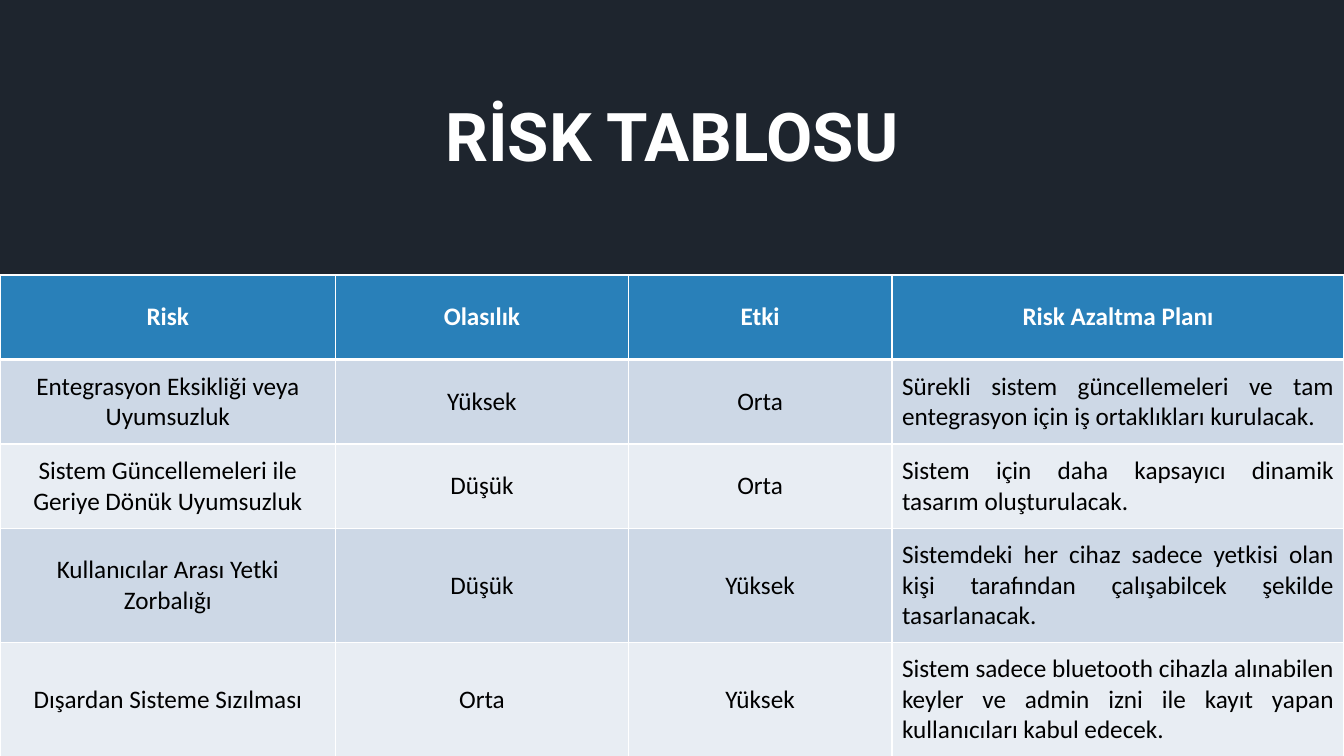
from dataclasses import dataclass

from lxml.etree import SubElement
from pptx import Presentation
from pptx.dml.color import RGBColor
from pptx.enum.text import MSO_ANCHOR, MSO_AUTO_SIZE, PP_ALIGN
from pptx.oxml.ns import qn
from pptx.util import Cm, Pt

NAVY = RGBColor(0x1E, 0x25, 0x2E)
BLUE = RGBColor(0x29, 0x80, 0xB9)
BAND_DARK = RGBColor(0xCD, 0xD8, 0xE6)
BAND_LIGHT = RGBColor(0xE8, 0xED, 0xF3)
WHITE = RGBColor(0xFF, 0xFF, 0xFF)
BLACK = RGBColor(0x00, 0x00, 0x00)

COLUMN_WIDTHS = (8.46, 7.37, 6.65, 11.39)
HEADERS = ("Risk", "Olasılık", "Etki", "Risk Azaltma Planı")


@dataclass(frozen=True)
class Risk:
    name: str
    likelihood: str
    impact: str
    plan: str
    height: float = 2.13


RISKS = (
    Risk("Entegrasyon Eksikliği veya Uyumsuzluk", "Yüksek", "Orta",
         "Sürekli sistem güncellemeleri ve tam entegrasyon için iş ortaklıkları kurulacak."),
    Risk("Sistem Güncellemeleri ile Geriye Dönük Uyumsuzluk", "Düşük", "Orta",
         "Sistem için daha kapsayıcı dinamik tasarım oluşturulacak."),
    Risk("Kullanıcılar Arası Yetki Zorbalığı", "Düşük", "Yüksek",
         "Sistemdeki her cihaz sadece yetkisi olan kişi tarafından çalışabilcek "
         "şekilde tasarlanacak.", 2.87),
    Risk("Dışardan Sisteme Sızılması", "Orta", "Yüksek",
         "Sistem sadece bluetooth cihazla alınabilen keyler ve admin izni ile kayıt "
         "yapan kullanıcıları kabul edecek.", 2.87),
)


def style_paragraph(p, font: str, size: int, color: RGBColor, bold: bool, align) -> None:
    p.alignment = align
    p.font.name = font
    p.font.size = Pt(size)
    p.font.bold = bold
    p.font.color.rgb = color


def add_borders(cell, top: int, bottom: int) -> None:
    tc_pr = cell._tc.get_or_add_tcPr()
    for side, width in (("lnL", 1), ("lnR", 1), ("lnT", top), ("lnB", bottom)):
        ln = SubElement(tc_pr, qn(f"a:{side}"), w=str(Pt(width)))
        fill = SubElement(ln, qn("a:solidFill"))
        SubElement(fill, qn("a:srgbClr"), val=str(WHITE))


def fill_cell(cell, text: str, row: int, align) -> None:
    header = row == 0
    add_borders(cell, top=3 if row == 1 else 1, bottom=3 if header else 1)
    cell.fill.solid()
    cell.fill.fore_color.rgb = BLUE if header else BAND_DARK if row % 2 else BAND_LIGHT
    cell.vertical_anchor = MSO_ANCHOR.MIDDLE
    cell.text = text
    p = cell.text_frame.paragraphs[0]
    style_paragraph(p, "Calibri", 18, WHITE if header else BLACK, header, align)


def add_risk_table(s) -> None:
    rows = [HEADERS] + [(r.name, r.likelihood, r.impact, r.plan) for r in RISKS]
    heights = [2.13] + [r.height for r in RISKS]
    frame = s.shapes.add_table(len(rows), len(HEADERS), Cm(0), Cm(6.93),
                               Cm(sum(COLUMN_WIDTHS)), Cm(sum(heights)))
    table = frame.table
    for column, width in zip(table.columns, COLUMN_WIDTHS):
        column.width = Cm(width)
    for i, (texts, height) in enumerate(zip(rows, heights)):
        table.rows[i].height = Cm(height)
        for j, text in enumerate(texts):
            is_plan = i > 0 and j == len(HEADERS) - 1
            align = PP_ALIGN.JUSTIFY if is_plan else PP_ALIGN.CENTER
            fill_cell(table.cell(i, j), text, i, align)


def add_title(s) -> None:
    tf = s.shapes.add_textbox(Cm(7.65), Cm(2.26), Cm(18.57), Cm(2.31)).text_frame
    tf.word_wrap = True
    tf.auto_size = MSO_AUTO_SIZE.SHAPE_TO_FIT_TEXT
    tf.text = "RİSK TABLOSU"
    style_paragraph(tf.paragraphs[0], "Roboto", 48, WHITE, True, PP_ALIGN.CENTER)


def main() -> None:
    prs = Presentation()
    prs.slide_width, prs.slide_height = Cm(33.87), Cm(19.05)
    s = prs.slides.add_slide(prs.slide_layouts[6])
    s.background.fill.solid()
    s.background.fill.fore_color.rgb = NAVY
    add_risk_table(s)
    add_title(s)
    prs.save("out.pptx")


if __name__ == "__main__":
    main()
